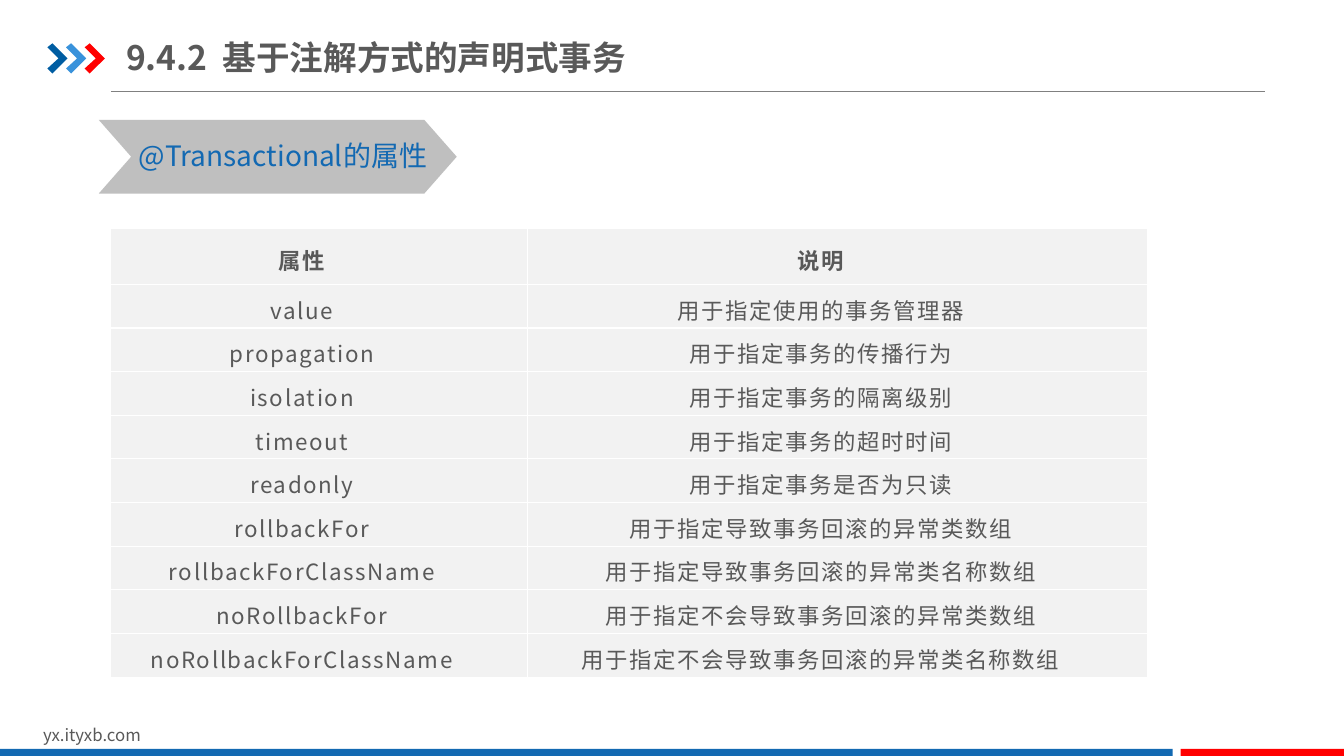
from lxml.etree import SubElement
from pptx import Presentation
from pptx.dml.color import RGBColor
from pptx.enum.shapes import MSO_CONNECTOR, MSO_SHAPE
from pptx.enum.text import MSO_ANCHOR, MSO_AUTO_SIZE, PP_ALIGN
from pptx.oxml.ns import qn
from pptx.util import Inches, Pt

# Content
TITLE = "9.4.2  基于注解方式的声明式事务"
TOPIC = "@Transactional的属性"
SITE = "yx.ityxb.com"
ROWS = [
    ("属性", "说明"),
    ("value", "用于指定使用的事务管理器"),
    ("propagation", "用于指定事务的传播行为"),
    ("isolation", "用于指定事务的隔离级别"),
    ("timeout", "用于指定事务的超时时间"),
    ("readonly", "用于指定事务是否为只读"),
    ("rollbackFor", "用于指定导致事务回滚的异常类数组"),
    ("rollbackForClassName", "用于指定导致事务回滚的异常类名称数组"),
    ("noRollbackFor", "用于指定不会导致事务回滚的异常类数组"),
    ("noRollbackForClassName", "用于指定不会导致事务回滚的异常类名称数组"),
]
FONT = "Noto Sans CJK SC"
GRAY, BLUE, RED, WHITE = "595959", "1369B2", "FF0000", "FFFFFF"
ARROWS = ["005DA2", "3992DB", RED]
ARROW = [(0, 0.04), (0.05, 0), (0.2, 0.15), (0.05, 0.3), (0, 0.25), (0.11, 0.15)]
BARS = [(0, 11.63, BLUE), (11.71, 1.63, RED)]
COLS = [4.14, 6.15]
HEAD, TALL = 0.55, 4.45


def paint(target, color):
    target.solid()
    target.fore_color.rgb = RGBColor.from_string(color)


def plain(shape, color):
    shape.shadow.inherit = False
    paint(shape.fill, color)
    shape.line.fill.background()


def style(para, size, color, bold=False):
    font = para.font
    font.size, font.bold, font.name = Pt(size), bold, FONT
    paint(font.fill, color)
    SubElement(font._element, qn("a:ea"), typeface=FONT)


def label(box, text, size, color, bold=False, wrap=True):
    frame = slide.shapes.add_textbox(*map(Inches, box)).text_frame
    frame.word_wrap = wrap
    para = frame.paragraphs[0]
    para.text = text
    style(para, size, color, bold)
    return frame


def border(cell, color):
    props = cell._tc.get_or_add_tcPr()
    for side in ("lnL", "lnR", "lnT", "lnB"):
        line = SubElement(props, qn("a:" + side), w=str(Pt(1)))
        SubElement(SubElement(line, qn("a:solidFill")), qn("a:srgbClr"), val=color)


deck = Presentation()
deck.slide_width, deck.slide_height = Inches(13.33), Inches(7.5)
slide = deck.slides.add_slide(deck.slide_layouts[6])
shapes = slide.shapes

# Title rule and arrows
rule = shapes.add_connector(MSO_CONNECTOR.STRAIGHT, Inches(1.1), Inches(0.91),
                            Inches(12.55), Inches(0.91))
paint(rule.line.fill, "808080")
rule.line.width = Pt(0.5)
SubElement(rule._element.spPr, qn("a:effectLst"))

for i, color in enumerate(ARROWS):
    left, top = 0.47 + 0.185 * i, 0.43
    points = [(Inches(left + x), Inches(top + y)) for x, y in ARROW]
    build = shapes.build_freeform(*points[0])
    build.add_line_segments(points[1:], close=True)
    plain(build.convert_to_shape(), color)

# Footer
label((0.33, 7.14, 3.18, 0.3), SITE, 12, GRAY).auto_size = MSO_AUTO_SIZE.SHAPE_TO_FIT_TEXT
for left, width, color in BARS:
    bar = shapes.add_shape(MSO_SHAPE.RECTANGLE, Inches(left), Inches(7.43),
                           Inches(width), Inches(0.09))
    plain(bar, color)

# Topic and title
badge = shapes.add_shape(MSO_SHAPE.CHEVRON, Inches(0.98), Inches(1.19),
                         Inches(3.55), Inches(0.73))
badge.adjustments[0] = 0.44
plain(badge, "BFBFBF")
topic = label((1.28, 1.33, 3.42, 0.44), TOPIC, 20, BLUE, wrap=False)
topic.auto_size = MSO_AUTO_SIZE.SHAPE_TO_FIT_TEXT
title = label((1.25, 0.29, 5.31, 0.55), TITLE, 24, GRAY, bold=True)
title.vertical_anchor = MSO_ANCHOR.MIDDLE
title.margin_left = title.margin_right = 0
title.margin_top = title.margin_bottom = Inches(0.07)

# Attribute table
table = shapes.add_table(len(ROWS), len(COLS), Inches(1.09), Inches(2.27),
                         Inches(sum(COLS)), Inches(TALL)).table
table.first_row = table.horz_banding = False
for col, width in zip(table.columns, COLS):
    col.width = Inches(width)
for r, texts in enumerate(ROWS):
    table.rows[r].height = Inches(HEAD if r == 0 else (TALL - HEAD) / (len(ROWS) - 1))
    for c, text in enumerate(texts):
        cell = table.cell(r, c)
        border(cell, WHITE)
        paint(cell.fill, "F2F2F2")
        cell.vertical_anchor = MSO_ANCHOR.MIDDLE
        cell.margin_left, cell.margin_right = Inches(0.19), Inches(0.52)
        cell.margin_top = cell.margin_bottom = 0
        para = cell.text_frame.paragraphs[0]
        para.text = text
        para.alignment = PP_ALIGN.CENTER
        para.line_spacing = 1.2
        style(para, 16, GRAY, bold=r == 0)
        para.font._element.set("spc", "120")

deck.save("out.pptx")
